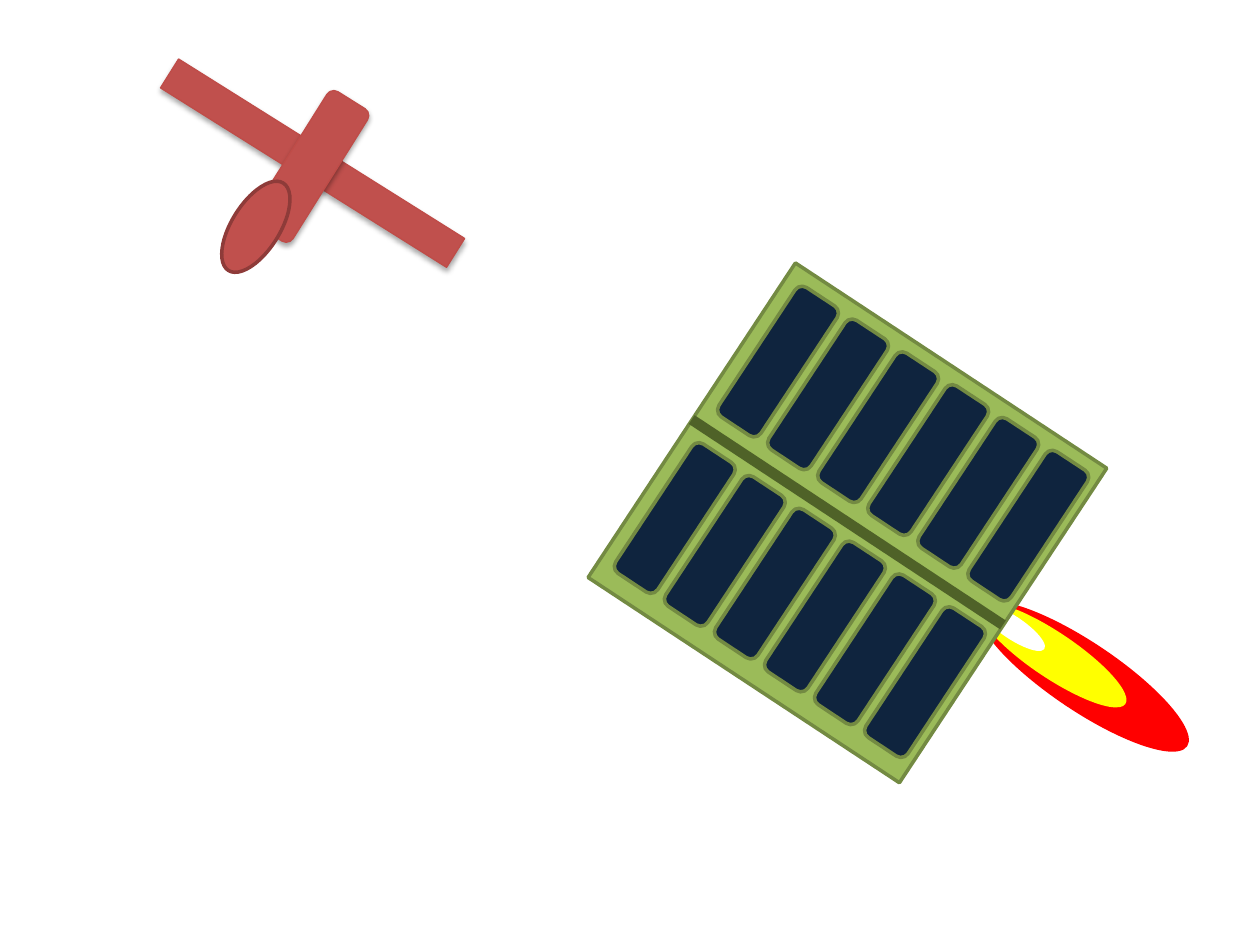
from pptx import Presentation
from pptx.dml.color import RGBColor
from pptx.enum.shapes import MSO_CONNECTOR as CONN, MSO_SHAPE as SHAPE
from pptx.oxml import parse_xml
from pptx.oxml.ns import nsdecls
from pptx.util import Pt

RED = RGBColor(0xC0, 0x50, 0x4D)
RED_EDGE = RGBColor(0xBF, 0x4C, 0x48)
DARK_RED = RGBColor(0x8E, 0x3B, 0x39)
FLAME_RED = RGBColor(0xFF, 0x00, 0x00)
FLAME_YELLOW = RGBColor(0xFF, 0xFF, 0x00)
WHITE = RGBColor(0xFF, 0xFF, 0xFF)
GREEN = RGBColor(0x9B, 0xBB, 0x59)
GREEN_EDGE = RGBColor(0x73, 0x8A, 0x42)
DARK_GREEN = RGBColor(0x4F, 0x62, 0x28)
NAVY = RGBColor(0x0F, 0x24, 0x3E)


class Drawing:
    def __init__(self, slide):
        self.slide = slide
        self.group = None

    def start_group(self):
        self.group = self.slide.shapes.add_group_shape()

    def shape(self, kind, box, angle, fill, edge=None, width=2, shadow=False):
        s = self.group.shapes.add_shape(kind, *[Pt(v) for v in box])
        s.rotation = angle
        s.fill.solid()
        s.fill.fore_color.rgb = fill
        if edge is None:
            s.line.fill.background()
        else:
            s.line.color.rgb = edge
            s.line.width = Pt(width)
        s.shadow.inherit = False
        if shadow:
            self.drop_shadow(s)

    def drop_shadow(self, s):
        effects = s._element.spPr.find(
            "{http://schemas.openxmlformats.org/drawingml/2006/main}effectLst")
        effects.append(parse_xml(
            f'<a:outerShdw {nsdecls("a")} blurRad="{Pt(3.1)}" dist="{Pt(1.8)}"'
            ' dir="5400000" rotWithShape="0"><a:srgbClr val="000000">'
            '<a:alpha val="35000"/></a:srgbClr></a:outerShdw>'))

    def line(self, x1, y1, x2, y2, color, width):
        c = self.group.shapes.add_connector(
            CONN.STRAIGHT, Pt(x1), Pt(y1), Pt(x2), Pt(y2))
        c.line.color.rgb = color
        c.line.width = Pt(width)
        c._element.spPr.append(parse_xml(f'<a:effectLst {nsdecls("a")}/>'))

    def cell_row(self, left, top, count=6, dx=28.6, dy=18.75):
        for i in range(count):
            self.shape(SHAPE.ROUNDED_RECTANGLE,
                       (left + i * dx, top + i * dy, 88.6, 28.8),
                       303.4, NAVY, GREEN_EDGE)


prs = Presentation()
prs.slide_width, prs.slide_height = Pt(720), Pt(540)
d = Drawing(prs.slides.add_slide(prs.slide_layouts[6]))

# Small red satellite: wings, body, dish
d.start_group()
d.shape(SHAPE.RECTANGLE, (82.1, 83.5, 193, 19.5), 32.1,
        RED, RED_EDGE, 0.75, shadow=True)
d.shape(SHAPE.ROUNDED_RECTANGLE, (132.5, 81.4, 89.3, 27.4), 302.1,
        RED, RED_EDGE, 0.75, shadow=True)
d.shape(SHAPE.OVAL, (132.5, 100.1, 27.4, 59), 32.1, RED, DARK_RED)

# Exhaust flame, from the outside in
d.start_group()
for box, color in (((547.9, 367.2, 142.6, 38.9), FLAME_RED),
                   ((551.5, 361.4, 100.1, 25.9), FLAME_YELLOW),
                   ((556.6, 352.1, 43.9, 13), WHITE)):
    d.shape(SHAPE.OVAL, box, 33.9, color)

# Solar panel: frame, lower cells, centre bar, upper cells
d.shape(SHAPE.RECTANGLE, (376.6, 192.2, 215.3, 213.1), 303.4,
        GREEN, GREEN_EDGE)
d.cell_row(341.3, 281.6)
d.line(395.3, 239.8, 573.1, 357.1, DARK_GREEN, 6)
d.cell_row(400.3, 192.2)

prs.save("out.pptx")
